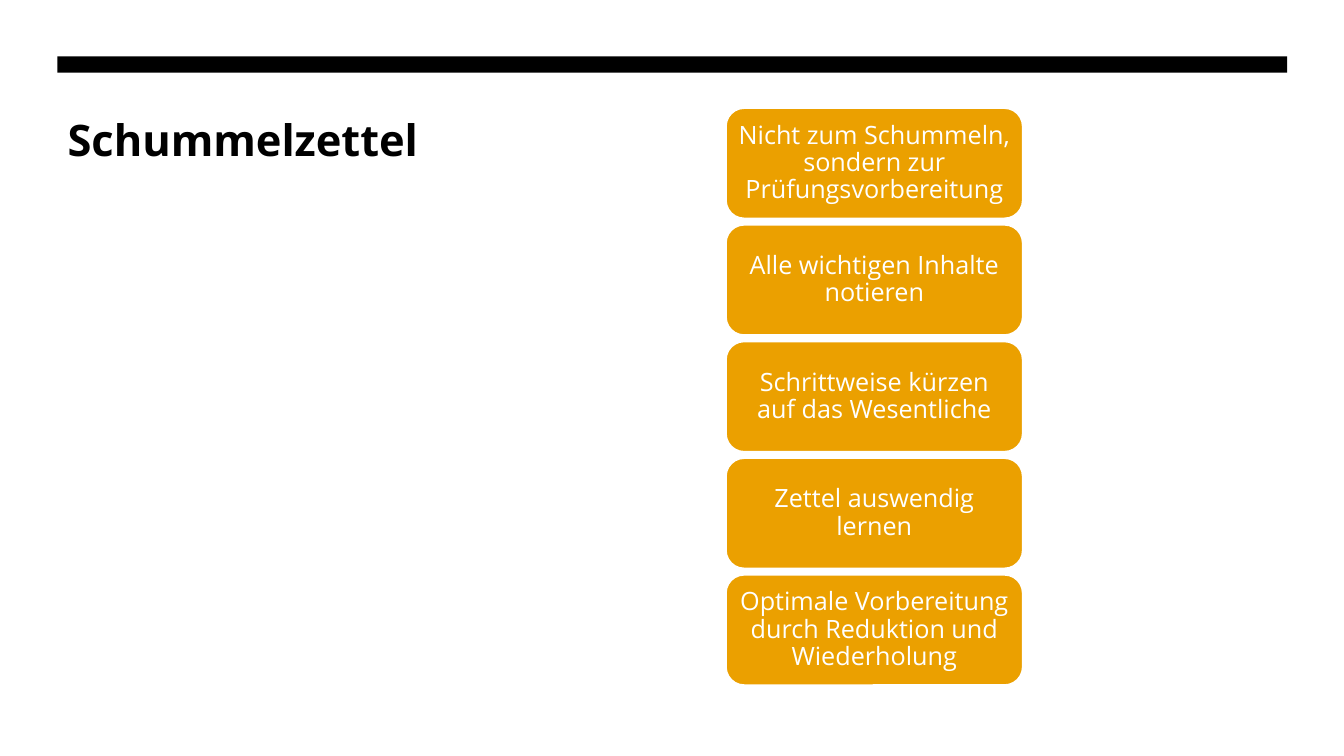
from dataclasses import dataclass

from pptx import Presentation
from pptx.dml.color import RGBColor
from pptx.enum.shapes import MSO_SHAPE as Shape
from pptx.enum.text import MSO_ANCHOR as Anchor, MSO_AUTO_SIZE as AutoSize, PP_ALIGN as Align
from pptx.util import Cm, Pt

# Content
HEADING = "Schummelzettel"
STEPS = [
    "Nicht zum Schummeln, sondern zur Prüfungsvorbereitung",
    "Alle wichtigen Inhalte notieren",
    "Schrittweise kürzen auf das Wesentliche",
    "Zettel auswendig lernen",
    "Optimale Vorbereitung durch Reduktion und Wiederholung",
]


@dataclass(frozen=True)
class Theme:
    font: str = "Open Sans"
    black: RGBColor = RGBColor(0x00, 0x00, 0x00)
    white: RGBColor = RGBColor(0xFF, 0xFF, 0xFF)
    amber: RGBColor = RGBColor(0xEB, 0xA0, 0x00)
    heading_size: Pt = Pt(31)
    step_size: Pt = Pt(18)
    outline: Pt = Pt(1.5)


THEME = Theme()

# Layout
MARGIN, TOP = Cm(1.45), Cm(2.72)
STEP_LEFT, STEP_WIDTH, STEP_HEIGHT = Cm(18.29), Cm(7.49), Cm(2.79)
STEP_PITCH = Cm(2.94)


def add_run(paragraph, text, size, color, bold=False):
    run = paragraph.add_run()
    run.text = text
    run.font.name = THEME.font
    run.font.size = size
    run.font.bold = bold
    run.font.color.rgb = color


def add_block(slide, preset, left, top, width, height, color):
    block = slide.shapes.add_shape(preset, left, top, width, height)
    block.shadow.inherit = False
    block.fill.solid()
    block.fill.fore_color.rgb = color
    block.line.fill.background()
    return block


def add_heading(slide):
    heading = slide.shapes.title
    heading.left, heading.top = MARGIN, TOP
    heading.width, heading.height = Cm(11.89), Cm(11.3)
    frame = heading.text_frame
    frame.word_wrap = True
    frame.auto_size = AutoSize.NONE
    frame.vertical_anchor = Anchor.TOP
    paragraph = frame.paragraphs[0]
    paragraph.alignment = Align.LEFT
    add_run(paragraph, HEADING, THEME.heading_size, THEME.black, bold=True)


def add_step(slide, index, text):
    step = add_block(slide, Shape.ROUNDED_RECTANGLE, STEP_LEFT, TOP + index * STEP_PITCH,
                     STEP_WIDTH, STEP_HEIGHT, THEME.amber)
    step.line.color.rgb = THEME.white
    step.line.width = THEME.outline
    frame = step.text_frame
    frame.word_wrap = True
    frame.vertical_anchor = Anchor.MIDDLE
    frame.margin_left = frame.margin_right = Cm(0.18)
    frame.margin_top = frame.margin_bottom = Cm(0.1)
    paragraph = frame.paragraphs[0]
    paragraph.alignment = Align.CENTER
    paragraph.line_spacing = 0.9
    add_run(paragraph, text, THEME.step_size, THEME.white)


def main():
    deck = Presentation()
    deck.slide_width, deck.slide_height = Cm(33.87), Cm(19.05)
    slide = deck.slides.add_slide(deck.slide_layouts[5])

    # Heading and top bar
    add_heading(slide)
    add_block(slide, Shape.RECTANGLE, MARGIN, Cm(1.42), Cm(30.99), Cm(0.41), THEME.black)

    # Column of steps
    for index, text in enumerate(STEPS):
        add_step(slide, index, text)

    deck.save("out.pptx")


if __name__ == "__main__":
    main()
